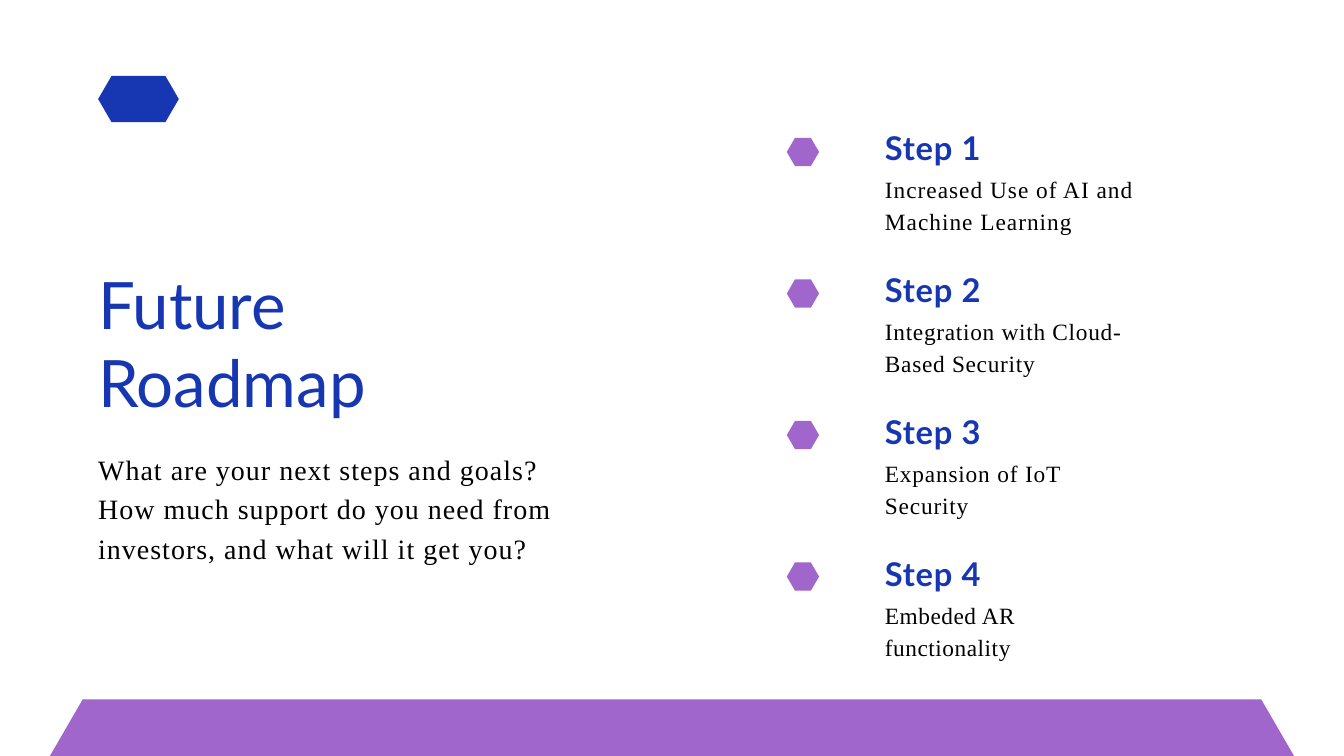
from pptx import Presentation
from pptx.dml.color import RGBColor
from pptx.enum.shapes import MSO_SHAPE
from pptx.util import Cm, Pt

HEXAGON = MSO_SHAPE.HEXAGON
TRAPEZOID = MSO_SHAPE.TRAPEZOID

COLORS = {"blue": "1736B1", "purple": "A066CB", "black": "000000"}
HEADING_FONT = "Lato"
BODY_FONT = "Times New Roman"

# Heading, description, letter spacing of the description in points
STEPS = [
    ("Step 1", "Increased Use of AI and Machine Learning", 1.1),
    ("Step 2", "Integration with Cloud-Based Security", 0.8),
    ("Step 3", "Expansion of IoT Security", 0.9),
    ("Step 4", "Embeded AR functionality", 0.6),
]


def add_filled_shape(slide, kind, left, top, width, height, inset, color):
    shape = slide.shapes.add_shape(kind, Cm(left), Cm(top), Cm(width), Cm(height))
    shape.adjustments[0] = inset
    shape.shadow.inherit = False
    shape.fill.solid()
    shape.fill.fore_color.rgb = RGBColor.from_string(COLORS[color])
    shape.line.fill.background()


def add_text_frame(slide, left, top, width, height):
    frame = slide.shapes.add_textbox(Cm(left), Cm(top), Cm(width), Cm(height)).text_frame
    frame.word_wrap = True
    frame.margin_left = frame.margin_right = 0
    frame.margin_top = frame.margin_bottom = 0
    return frame


def write_paragraph(paragraph, text, font_name, size, color, bold=False, spacing=0):
    run = paragraph.add_run()
    run.text = text
    if spacing:
        run.font._element.set("spc", str(round(spacing * 100)))
    font = paragraph.font
    font.name = font_name
    font.size = Pt(size)
    font.bold = bold
    font.color.rgb = RGBColor.from_string(COLORS[color])


def add_intro(slide):
    frame = add_text_frame(slide, 3.71, 9.99, 17.5, 8.5)
    write_paragraph(frame.paragraphs[0], "Future Roadmap", HEADING_FONT, 70, "blue")
    question = frame.add_paragraph()
    question.space_before = Pt(27.6)
    question.line_spacing = 1.17
    write_paragraph(
        question,
        "What are your next steps and goals? How much support do you need from "
        "investors, and what will it get you?",
        BODY_FONT, 30, "black", spacing=1.1,
    )


def add_step(slide, index, heading, description, spacing):
    add_filled_shape(slide, HEXAGON, 29.74, 5.21 + index * 5.35, 1.22, 1.07, 0.29, "purple")
    frame = add_text_frame(slide, 33.45, 4.84 + index * 5.37, 9.65, 4)
    write_paragraph(frame.paragraphs[0], heading, HEADING_FONT, 35, "blue", True, 0.8)
    detail = frame.add_paragraph()
    detail.space_before = Pt(3.5)
    detail.line_spacing = 1.15
    write_paragraph(detail, description, BODY_FONT, 25, "black", spacing=spacing)


def main():
    presentation = Presentation()
    presentation.slide_width = Cm(50.8)
    presentation.slide_height = Cm(28.575)
    slide = presentation.slides.add_slide(presentation.slide_layouts[6])

    # Emblem and bottom band
    add_filled_shape(slide, HEXAGON, 3.71, 2.87, 3.05, 1.75, 0.29, "blue")
    add_filled_shape(slide, TRAPEZOID, 1.89, 26.44, 47.02, 2.13, 0.58, "purple")

    # Title and question on the left
    add_intro(slide)

    # Roadmap steps on the right
    for index, step in enumerate(STEPS):
        add_step(slide, index, *step)

    presentation.save("out.pptx")


if __name__ == "__main__":
    main()
